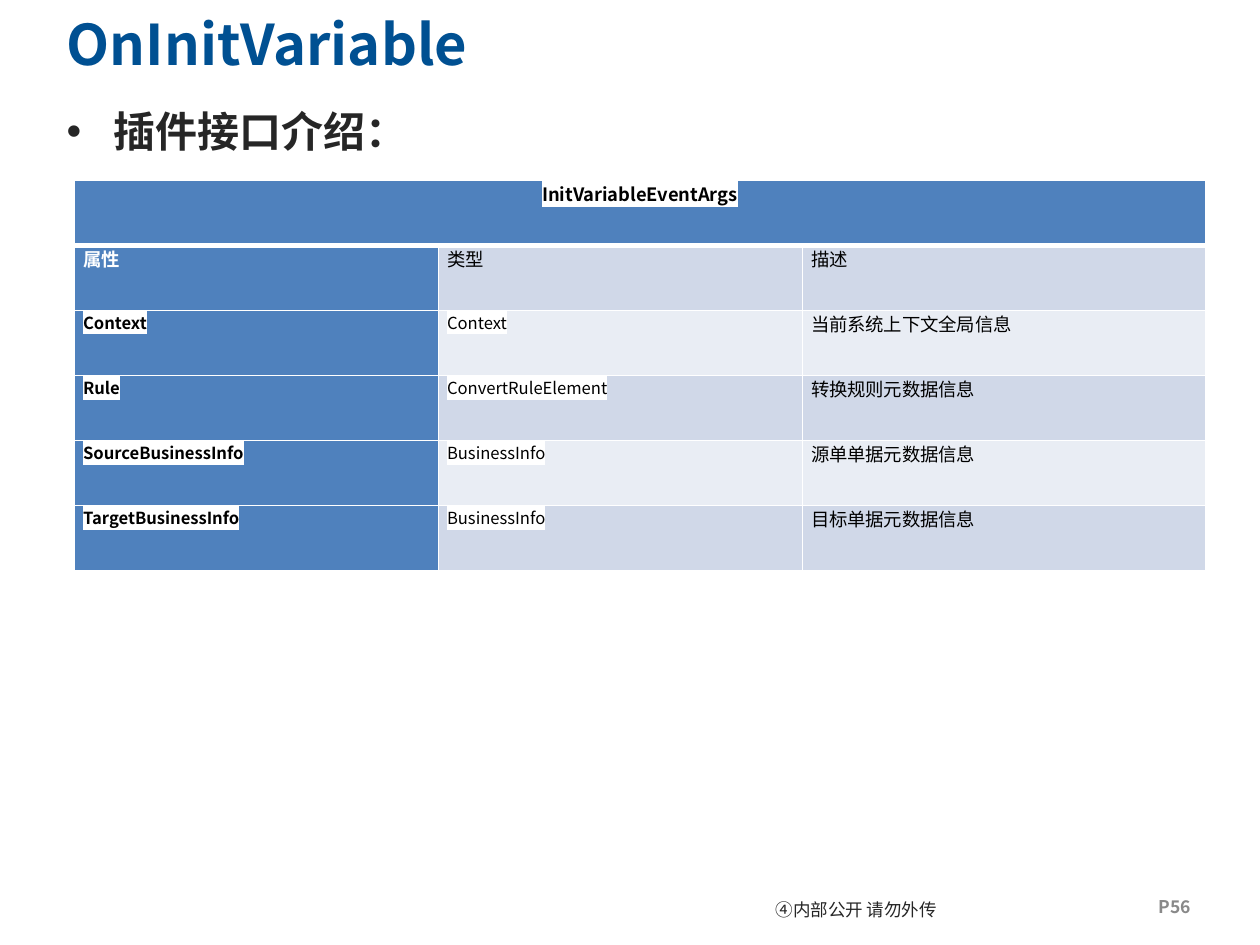
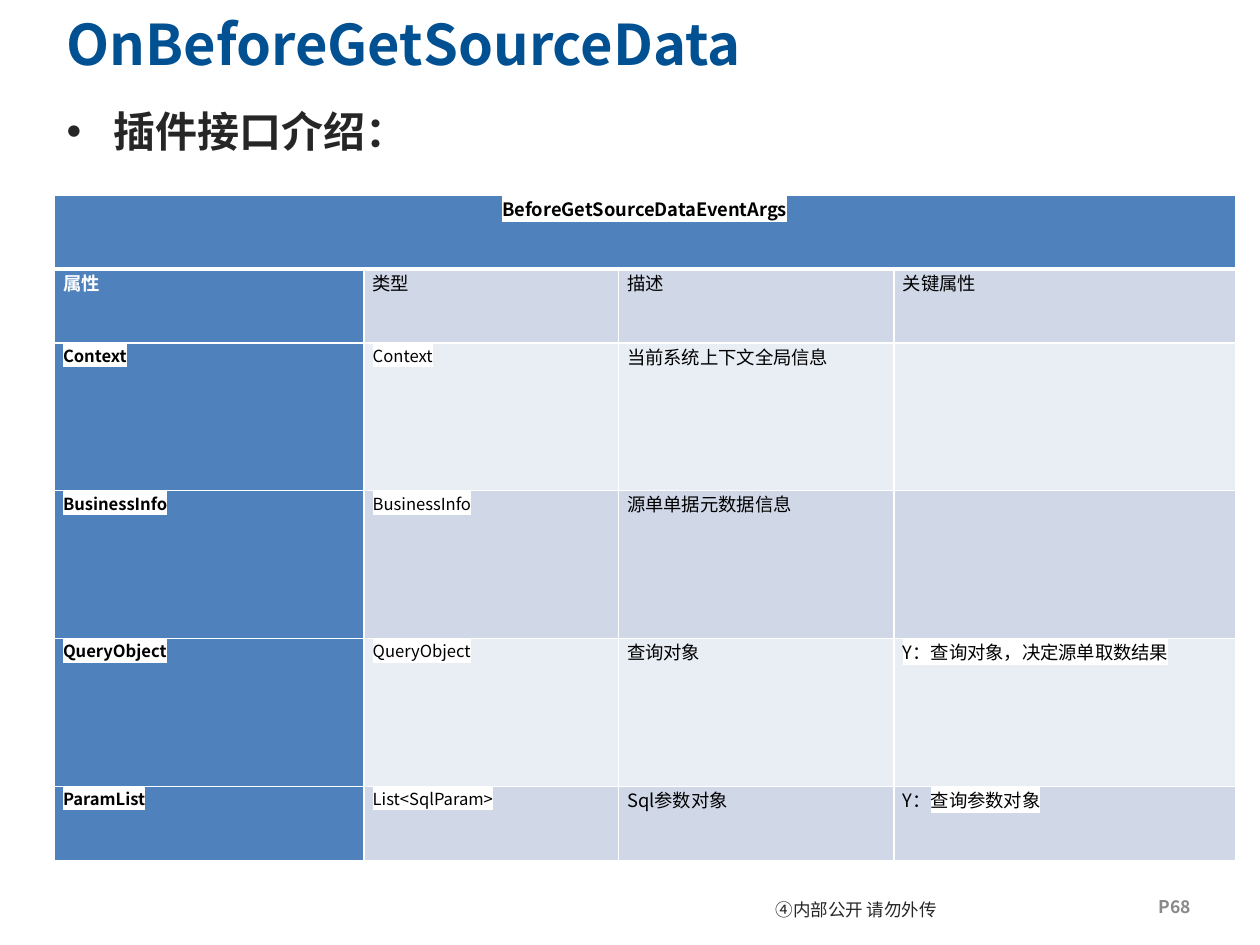
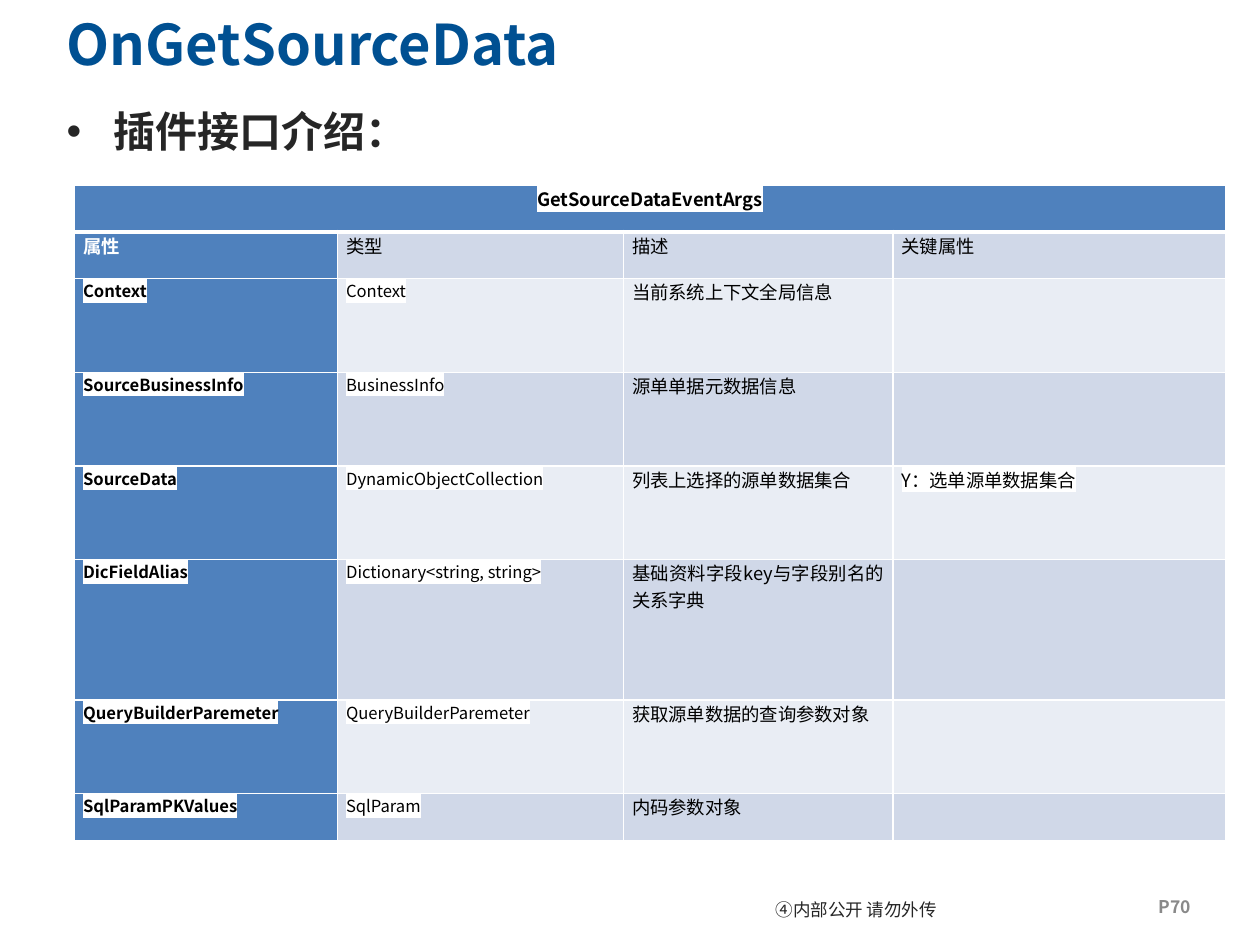
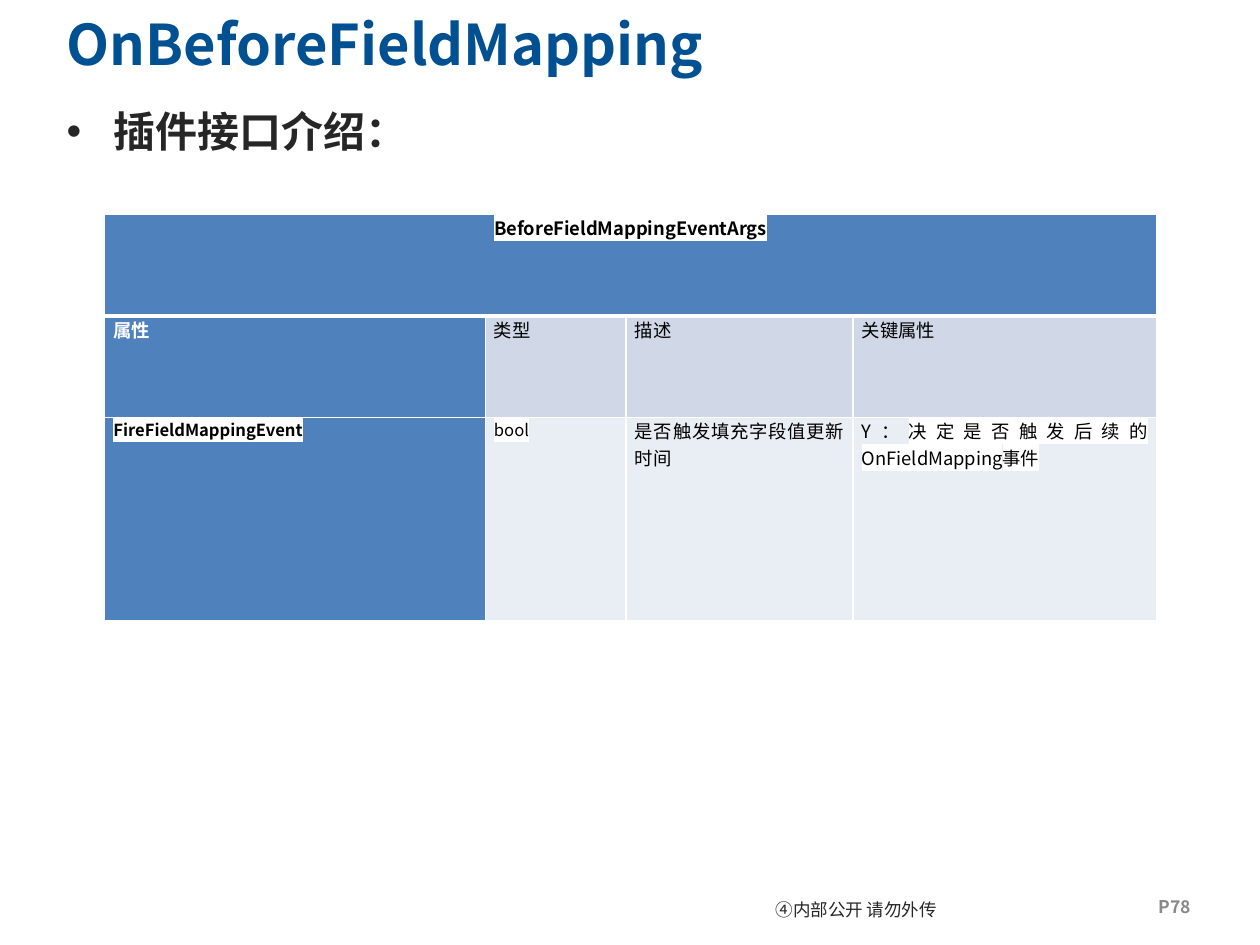
from dataclasses import dataclass

from lxml.etree import SubElement
from pptx import Presentation
from pptx.dml.color import RGBColor
from pptx.enum.text import MSO_ANCHOR, PP_ALIGN
from pptx.oxml.ns import qn
from pptx.util import Pt


@dataclass(frozen=True)
class Theme:
    font: str = "Noto Sans CJK SC"
    title: str = "005092"
    body: str = "262626"
    page_number: str = "898989"
    black: str = "000000"
    white: str = "FFFFFF"
    header: str = "4F81BD"
    bands: tuple = ("E9EDF4", "D0D8E8")
    title_size: float = 32
    body_size: float = 24
    footer_size: float = 10
    cell_size: float = 10.5
    code_size: float = 9.5
    thin: float = 1
    thick: float = 3


THEME = Theme()
HEADINGS = ("属性", "类型", "描述", "关键属性")
CONTEXT = ("Context", "Context", "当前系统上下文全局信息")


@dataclass(frozen=True)
class EventTable:
    """A table whose row heights are whole multiples of one unit."""
    name: str
    page: int
    left: float
    top: float
    widths: tuple
    unit: float
    multiples: tuple
    rows: tuple  # property, type, description, then runs of (text, marked)

    @property
    def title(self):
        return "On" + self.name


EVENTS = (
    EventTable(
        "InitVariable", 56, 42.5, 103, (208, 208, 230.5), 37.2, (1,) * 6,
        (CONTEXT,
         ("Rule", "ConvertRuleElement", "转换规则元数据信息"),
         ("SourceBusinessInfo", "BusinessInfo", "源单单据元数据信息"),
         ("TargetBusinessInfo", "BusinessInfo", "目标单据元数据信息"))),
    EventTable(
        "BeforeGetSourceData", 68, 31, 111.5, (177, 145.5, 157.5, 195),
        42.25, (1, 1, 2, 2, 2, 1),
        (CONTEXT,
         ("BusinessInfo", "BusinessInfo", "源单单据元数据信息"),
         ("QueryObject", "QueryObject", "查询对象",
          ("Y：查询对象，决定源单取数结果", True)),
         ("ParamList", "List<SqlParam>", "Sql参数对象",
          ("Y：", False), ("查询参数对象", True)))),
    EventTable(
        "GetSourceData", 70, 42.5, 105.8, (150.3, 163.5, 154, 190),
        26.75, (1, 1, 2, 2, 2, 3, 2, 1),
        (CONTEXT,
         ("SourceBusinessInfo", "BusinessInfo", "源单单据元数据信息"),
         ("SourceData", "DynamicObjectCollection", "列表上选择的源单数据集合",
          ("Y：选单源单数据集合", True)),
         ("DicFieldAlias", "Dictionary<string, string>",
          "基础资料字段key与字段别名的关系字典"),
         ("QueryBuilderParemeter", "QueryBuilderParemeter",
          "获取源单数据的查询参数对象"),
         ("SqlParamPKValues", "SqlParam", "内码参数对象"))),
    EventTable(
        "BeforeFieldMapping", 78, 59.8, 122.4, (217.5, 80.5, 129.8, 173.5),
        58.1, (1, 1, 2),
        (("FireFieldMappingEvent", "bool", "是否触发填充字段值更新时间",
          ("Y：", False), ("决定是否触发后续的OnFieldMapping事件", True)),)),
)


# Text
def add_run(paragraph, text, size, color, bold=False, marked=False):
    run = paragraph.add_run()
    run.text = text
    font = run.font
    font.size = Pt(size)
    font.bold = bold
    font.color.rgb = RGBColor.from_string(color)
    font.name = THEME.font
    properties = run._r.get_or_add_rPr()
    latin = properties.find(qn("a:latin"))
    east_asian = SubElement(properties, qn("a:ea"), typeface=THEME.font)
    latin.addnext(east_asian)
    if marked:
        highlight = SubElement(properties, qn("a:highlight"))
        SubElement(highlight, qn("a:srgbClr"), val=THEME.white)
        latin.addprevious(highlight)


def add_text_box(slide, left, top, width, height, anchor=MSO_ANCHOR.TOP):
    shape = slide.shapes.add_textbox(Pt(left), Pt(top), Pt(width), Pt(height))
    frame = shape.text_frame
    frame.word_wrap = True
    frame.vertical_anchor = anchor
    return frame


def add_title(slide, text):
    frame = add_text_box(slide, 31, 0, 527, 49, MSO_ANCHOR.MIDDLE)
    add_run(frame.paragraphs[0], text, THEME.title_size, THEME.title, True)


def add_bullet(slide, text):
    frame = add_text_box(slide, 31, 60.5, 656.6, 404.6)
    frame.margin_top = 0
    paragraph = frame.paragraphs[0]
    properties = paragraph._p.get_or_add_pPr()
    properties.set("marL", str(Pt(27)))
    properties.set("indent", str(Pt(-27)))
    SubElement(properties, qn("a:buFont"), typeface="Arial")
    SubElement(properties, qn("a:buChar"), char="•")
    add_run(paragraph, text, THEME.body_size, THEME.body, True)


def add_footer(slide, page):
    notice = add_text_box(slide, 425.5, 505.5, 127.5, 26, MSO_ANCHOR.MIDDLE)
    notice.margin_left = notice.margin_right = Pt(5.8)
    notice.margin_top = notice.margin_bottom = Pt(0.7)
    paragraph = notice.paragraphs[0]
    paragraph.alignment = PP_ALIGN.CENTER
    paragraph.line_spacing = Pt(14)
    add_run(paragraph, "④内部公开 请勿外传", THEME.footer_size, THEME.body)
    number = add_text_box(slide, 655, 508.3, 65, 19.4)
    add_run(number.paragraphs[0], f"P{page}", THEME.footer_size,
            THEME.page_number, True)


# Table
def style_cell(cell, fill, top, bottom):
    cell.margin_left = cell.margin_right = Pt(5)
    cell.margin_top = cell.margin_bottom = 0
    properties = cell._tc.get_or_add_tcPr()
    sides = {"L": THEME.thin, "R": THEME.thin, "T": top, "B": bottom}
    for side, width in sides.items():
        line = SubElement(properties, qn(f"a:ln{side}"), w=str(Pt(width)))
        solid = SubElement(line, qn("a:solidFill"))
        SubElement(solid, qn("a:srgbClr"), val=THEME.white)
    cell.fill.solid()
    cell.fill.fore_color.rgb = RGBColor.from_string(fill)


def add_grid(slide, event):
    heights = [event.unit * multiple for multiple in event.multiples]
    frame = slide.shapes.add_table(
        len(heights), len(event.widths), Pt(event.left), Pt(event.top),
        Pt(sum(event.widths)), Pt(sum(heights)))
    table = frame.table
    table.first_row = table.horz_banding = False
    for column, width in zip(table.columns, event.widths):
        column.width = Pt(width)
    for index, (row, height) in enumerate(zip(table.rows, heights)):
        row.height = Pt(height)
        for position, cell in enumerate(row.cells):
            is_header = index == 0 or position == 0
            style_cell(cell, THEME.header if is_header else THEME.bands[index % 2],
                       THEME.thick if index == 1 else THEME.thin,
                       THEME.thick if index == 0 else THEME.thin)
    return table


def cell_paragraph(cell, alignment=PP_ALIGN.JUSTIFY):
    paragraph = cell.text_frame.paragraphs[0]
    paragraph.alignment = alignment
    return paragraph


def add_event_table(slide, event):
    table = add_grid(slide, event)
    last = len(event.widths) - 1

    # Heading across all columns
    table.cell(0, 0).merge(table.cell(0, last))
    add_run(cell_paragraph(table.cell(0, 0), PP_ALIGN.CENTER),
            event.name + "EventArgs", THEME.cell_size, THEME.black, True, True)

    # Column headings
    for position, heading in enumerate(HEADINGS[:last + 1]):
        first = position == 0
        add_run(cell_paragraph(table.cell(1, position)), heading, THEME.cell_size,
                THEME.white if first else THEME.black, first)

    # Properties
    for index, (name, kind, description, *key_runs) in enumerate(event.rows, 2):
        add_run(cell_paragraph(table.cell(index, 0)), name,
                THEME.code_size, THEME.black, True, True)
        add_run(cell_paragraph(table.cell(index, 1)), kind,
                THEME.code_size, THEME.black, marked=True)
        add_run(cell_paragraph(table.cell(index, 2)), description,
                THEME.cell_size, THEME.black)
        for text, marked in key_runs:
            add_run(cell_paragraph(table.cell(index, 3)), text,
                    THEME.cell_size, THEME.black, marked=marked)


def main():
    presentation = Presentation()
    presentation.slide_width, presentation.slide_height = Pt(720), Pt(540)
    for event in EVENTS:
        slide = presentation.slides.add_slide(presentation.slide_layouts[6])
        add_footer(slide, event.page)
        add_bullet(slide, "插件接口介绍：")
        add_title(slide, event.title)
        add_event_table(slide, event)
    presentation.save("out.pptx")


if __name__ == "__main__":
    main()
